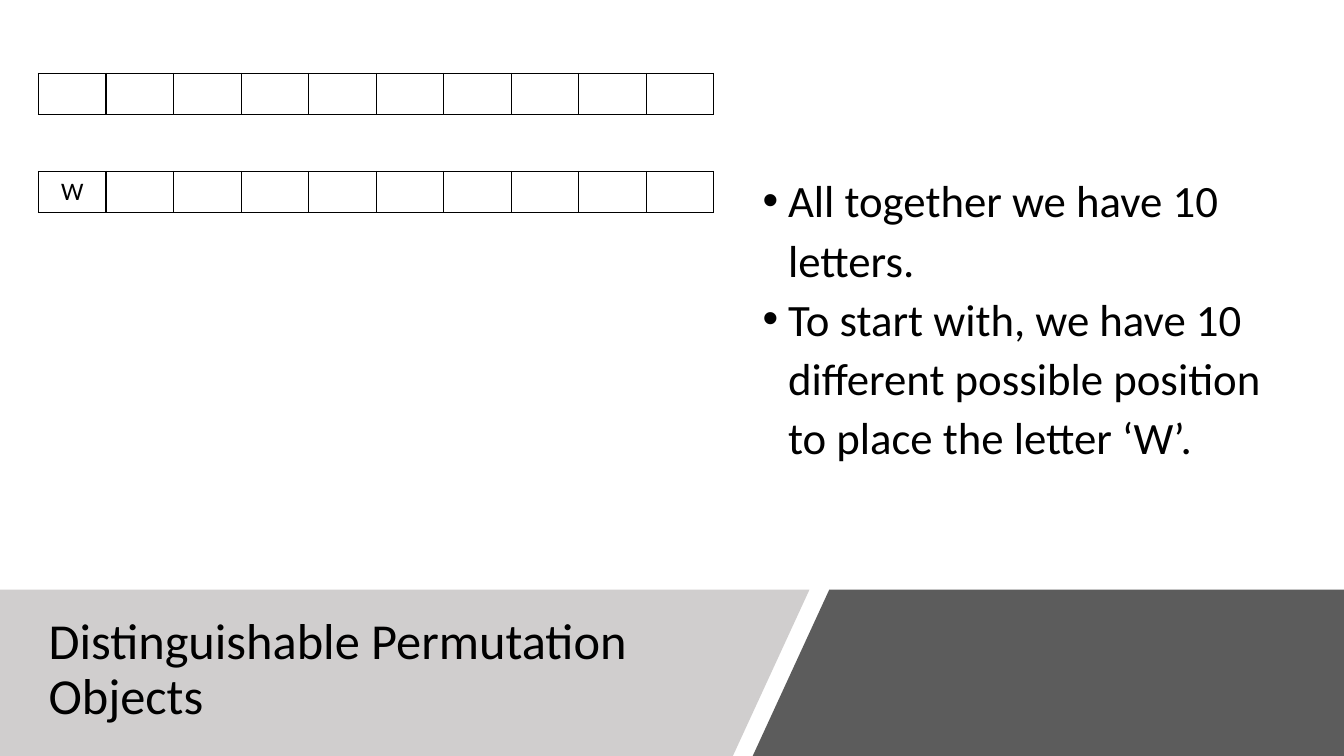
from dataclasses import dataclass
from typing import Optional

from lxml import etree
from pptx import Presentation
from pptx.dml.color import RGBColor
from pptx.enum.text import MSO_ANCHOR, MSO_AUTO_SIZE, PP_ALIGN
from pptx.oxml.ns import qn
from pptx.util import Cm, Pt

LEFT, CENTER = PP_ALIGN.LEFT, PP_ALIGN.CENTER
MIDDLE = MSO_ANCHOR.MIDDLE
NO_AUTOFIT = MSO_AUTO_SIZE.NONE
SLIDE_W, SLIDE_H = 33.87, 19.05
BAND_TOP = 14.86
POSITIONS = 10


@dataclass(frozen=True)
class Theme:
    """Colours, font and type sizes of the slide."""
    ink: str = "000000"
    light: str = "D0CECE"
    dark: str = "404040"
    font: str = "Calibri"
    title: int = 36
    body: int = 32
    cell: int = 18
    border: int = 1


@dataclass(frozen=True)
class Panel:
    """A band panel: corner points in cm, fill colour and opacity."""
    corners: tuple
    color: str
    opacity: Optional[int] = None


@dataclass(frozen=True)
class LetterRow:
    """A row of letter positions: its top in cm and the letters placed."""
    top: float
    letters: str = ""


THEME = Theme()
PANELS = (
    Panel(((20.9, BAND_TOP), (SLIDE_W, BAND_TOP), (SLIDE_W, SLIDE_H),
           (18.97, SLIDE_H)), THEME.dark, 85),
    Panel(((0, BAND_TOP), (20.4, BAND_TOP), (18.47, SLIDE_H),
           (0, SLIDE_H)), THEME.light),
)
ROWS = (LetterRow(1.85), LetterRow(4.32, "W"))
TITLE = "Distinguishable Permutation Objects"
POINTS = (
    "All together we have 10 letters.",
    "To start with, we have 10 different possible position "
    "to place the letter ‘W’.",
)


def style(p, size: int, align, spacing: Optional[float] = None) -> None:
    """Set the font, alignment and line spacing of a paragraph."""
    p.font.name, p.font.size = THEME.font, Pt(size)
    p.font.color.rgb = RGBColor.from_string(THEME.ink)
    p.alignment = align
    p.line_spacing = spacing


def add_panel(slide, panel: Panel) -> None:
    """Draw one slanted panel of the title band."""
    start, *rest = [(Cm(x), Cm(y)) for x, y in panel.corners]
    builder = slide.shapes.build_freeform(*start)
    builder.add_line_segments(rest, close=True)
    sp = builder.convert_to_shape()
    sp.shadow.inherit = False
    sp.line.fill.background()
    sp.fill.solid()
    sp.fill.fore_color.rgb = RGBColor.from_string(panel.color)
    if panel.opacity is not None:
        color = sp._element.spPr.find(f"{qn('a:solidFill')}/{qn('a:srgbClr')}")
        etree.SubElement(color, qn("a:alpha"), val=str(panel.opacity * 1000))


def set_title(slide) -> None:
    """Place the title in front of the panels."""
    sp = slide.shapes.title
    slide.shapes[-1]._element.addnext(sp._element)
    sp.left, sp.top, sp.width, sp.height = Cm(0.97), Cm(15.37), Cm(17.48), Cm(3.05)
    tf = sp.text_frame
    tf.text = TITLE
    tf.word_wrap, tf.auto_size, tf.vertical_anchor = True, NO_AUTOFIT, MIDDLE
    style(tf.paragraphs[0], THEME.title, LEFT, 0.9)


def add_points(slide) -> None:
    """Write the bulleted explanation on the right."""
    sp = slide.shapes.add_textbox(Cm(18.97), Cm(1.07), Cm(13.92), Cm(13.77))
    tf = sp.text_frame
    tf.word_wrap, tf.vertical_anchor = True, MIDDLE
    tf.text = "\n".join(POINTS)
    indent = Cm(0.64)
    for p in tf.paragraphs:
        style(p, THEME.body, LEFT, 1.1)
        pPr = p._p.get_or_add_pPr()
        pPr.set("marL", str(indent))
        pPr.set("indent", str(-indent))
        font = etree.Element(qn("a:buFont"), typeface="Arial")
        bullet = etree.Element(qn("a:buChar"), char="•")
        defaults = pPr.find(qn("a:defRPr"))
        defaults.addprevious(font)
        defaults.addprevious(bullet)


def add_borders(cell) -> None:
    """Draw a thin line on all four sides of a cell."""
    tcPr = cell._tc.get_or_add_tcPr()
    for side in ("lnL", "lnR", "lnT", "lnB"):
        ln = etree.SubElement(tcPr, qn(f"a:{side}"), w=str(Pt(THEME.border)))
        fill = etree.SubElement(ln, qn("a:solidFill"))
        etree.SubElement(fill, qn("a:srgbClr"), val=THEME.ink)


def add_letter_row(slide, row: LetterRow) -> None:
    """Draw a one-row table with a cell for each letter position."""
    frame = slide.shapes.add_table(1, POSITIONS, Cm(0.97), Cm(row.top),
                                   Cm(17.02), Cm(1.03))
    table = frame.table
    table.first_row = table.horz_banding = False
    for cell, letter in zip(table.iter_cells(), row.letters.ljust(POSITIONS)):
        cell.text = letter.strip()
        style(cell.text_frame.paragraphs[0], THEME.cell, CENTER)
        add_borders(cell)
        cell.fill.background()


def main() -> None:
    """Build and save the slide."""
    prs = Presentation()
    prs.slide_width, prs.slide_height = Cm(SLIDE_W), Cm(SLIDE_H)
    slide = prs.slides.add_slide(prs.slide_layouts.get_by_name("Title Only"))
    for panel in PANELS:
        add_panel(slide, panel)
    set_title(slide)
    add_points(slide)
    for row in ROWS:
        add_letter_row(slide, row)
    prs.save("out.pptx")


main()
